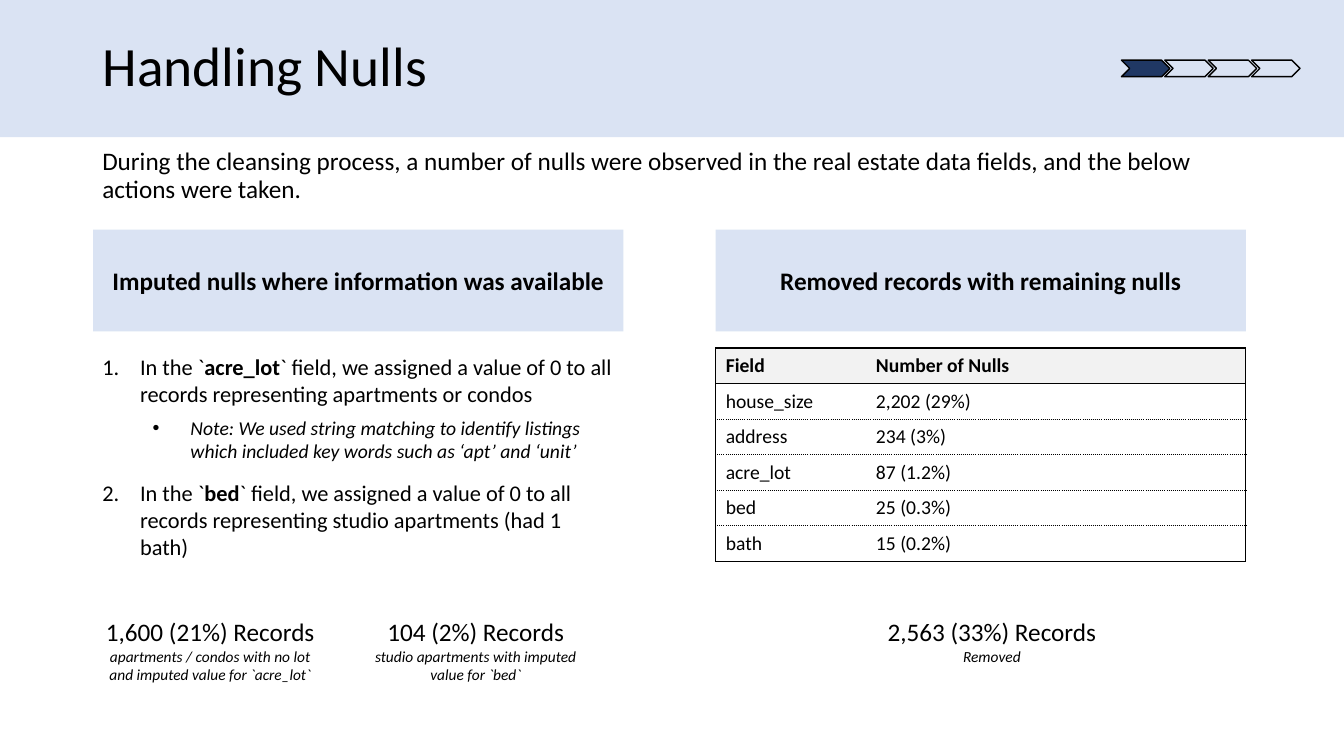
from dataclasses import dataclass

from lxml import etree
from pptx import Presentation
from pptx.dml.color import RGBColor
from pptx.enum import shapes, text
from pptx.oxml import ns
from pptx.util import Pt


@dataclass(frozen=True)
class Theme:
    font: str = "Calibri"
    ink: str = "000000"
    pale: str = "DAE3F3"
    navy: str = "203864"
    grey: str = "F2F2F2"
    title: float = 39.6
    lead: float = 18
    body: float = 16
    small: float = 14
    caption: float = 11
    line: float = 1


T = Theme()
MIDDLE = text.MSO_ANCHOR.MIDDLE
CENTER = text.PP_ALIGN.CENTER


def rgb(value):
    return RGBColor.from_string(value)


def add_run(p, wording, size, bold=False, italic=False):
    r = p.add_run()
    r.text = wording
    f = r.font
    f.name, f.size, f.bold, f.italic = T.font, Pt(size), bold, italic
    f.color.rgb = rgb(T.ink)


def add_shape(s, kind, box, fill, outline=None):
    sp = s.shapes.add_shape(kind, *map(Pt, box))
    sp.shadow.inherit = False
    sp.fill.solid()
    sp.fill.fore_color.rgb = rgb(fill)
    if outline:
        sp.line.color.rgb = rgb(outline)
        sp.line.width = Pt(T.line)
    else:
        sp.line.fill.background()
    return sp


def add_text(s, box):
    tf = s.shapes.add_textbox(*map(Pt, box)).text_frame
    tf.word_wrap = True
    return tf


def next_paragraph(tf, first):
    return tf.paragraphs[0] if first else tf.add_paragraph()


def title_band(s, box, title):
    x, y, w, h = box
    band = add_shape(s, shapes.MSO_SHAPE.RECTANGLE, box, T.pale)
    sp = s.shapes.title
    sp.element.addprevious(band.element)
    sp.left, sp.top, sp.width, sp.height = map(Pt, (x + 66, y + 23, w - 132, 52))
    tf = sp.text_frame
    tf.auto_size = text.MSO_AUTO_SIZE.NONE
    tf.vertical_anchor = MIDDLE
    p = tf.paragraphs[0]
    p.alignment, p.line_spacing = text.PP_ALIGN.LEFT, 0.9
    add_run(p, title, T.title)


def progress(s, box, steps, current):
    x, y, w, h = box
    pitch = 31
    width = w - pitch * (steps - 1)
    for i in range(steps):
        fill = T.navy if i == current else T.pale
        add_shape(s, shapes.MSO_SHAPE.CHEVRON,
                  (x + i * pitch, y, width, h), fill, T.ink)


def intro(s, box, wording):
    p = add_text(s, box).paragraphs[0]
    p.line_spacing = 0.9
    add_run(p, wording, T.lead)


def heading(s, box, wording):
    sp = add_shape(s, shapes.MSO_SHAPE.RECTANGLE, box, T.pale)
    tf = sp.text_frame
    tf.word_wrap, tf.vertical_anchor = True, MIDDLE
    p = tf.paragraphs[0]
    p.alignment = CENTER
    add_run(p, wording, T.lead, bold=True)


def set_list(p, level, margin, tag, **attrs):
    p.level = level
    pPr = p._p.get_or_add_pPr()
    pPr.set("marL", str(Pt(margin)))
    pPr.set("indent", str(-Pt(27)))
    if tag == "a:buChar":
        etree.SubElement(pPr, ns.qn("a:buFont"), typeface="Arial")
    etree.SubElement(pPr, ns.qn(tag), **attrs)


def actions(s, box, items):
    tf = add_text(s, box)
    for i, item in enumerate(items):
        p = next_paragraph(tf, i == 0)
        if isinstance(item, str):
            p.space_after = Pt(12)
            set_list(p, 1, 63, "a:buChar", char="•")
            add_run(p, item, T.small, italic=True)
        else:
            field, rest = item
            p.space_after = Pt(6)
            set_list(p, 0, 27, "a:buAutoNum", type="arabicPeriod")
            add_run(p, "In the `", T.body)
            add_run(p, field, T.body, bold=True)
            add_run(p, "` field, we assigned a value of 0 to all " + rest, T.body)


def set_border(cell, side, dash):
    ln = etree.SubElement(cell._tc.get_or_add_tcPr(), ns.qn("a:ln" + side),
                          w=str(Pt(T.line)))
    if dash is None:
        etree.SubElement(ln, ns.qn("a:noFill"))
        return
    fill = etree.SubElement(ln, ns.qn("a:solidFill"))
    etree.SubElement(fill, ns.qn("a:srgbClr"), val=T.ink)
    etree.SubElement(ln, ns.qn("a:prstDash"), val=dash)


def null_table(s, box, rows, first_width):
    x, y, w, h = box
    tbl = s.shapes.add_table(len(rows), 2, *map(Pt, box)).table
    tbl.horz_banding = False
    tbl.columns[0].width, tbl.columns[1].width = Pt(first_width), Pt(w - first_width)
    last = len(rows) - 1
    for i, row in enumerate(rows):
        tbl.rows[i].height = Pt(h / len(rows))
        for j, wording in enumerate(row):
            cell = tbl.cell(i, j)
            cell.vertical_anchor = MIDDLE
            set_border(cell, "L", "solid" if j == 0 else None)
            set_border(cell, "R", "solid" if j == 1 else None)
            set_border(cell, "T", "solid" if i < 2 else "sysDot")
            set_border(cell, "B", "solid" if i in (0, last) else "sysDot")
            if i == 0:
                cell.fill.solid()
                cell.fill.fore_color.rgb = rgb(T.grey)
            else:
                cell.fill.background()
            add_run(cell.text_frame.paragraphs[0], wording, T.small, bold=i == 0)


def record_count(s, box, count, caption):
    tf = add_text(s, box)
    for i, (wording, size) in enumerate(((count, T.lead), (caption, T.caption))):
        p = next_paragraph(tf, i == 0)
        p.alignment = CENTER
        add_run(p, wording, size, italic=i == 1)


prs = Presentation()
prs.slide_width, prs.slide_height = Pt(960), Pt(540)
s = prs.slides.add_slide(prs.slide_layouts[5])
LEFT, RIGHT, COLUMN = 66.6, 511.2, 378.7

title_band(s, (0, 0, 960, 98), "Handling Nulls")
progress(s, (801, 43, 127.6, 11.8), steps=4, current=0)
intro(s, (66, 103, 828, 52),
      "During the cleansing process, a number of nulls were observed in the real "
      "estate data fields, and the below actions were taken.")

heading(s, (LEFT, 164, COLUMN, 72.7), "Imputed nulls where information was available")
actions(s, (66, 249, COLUMN + 0.7, 156), [
    ("acre_lot", "records representing apartments or condos"),
    "Note: We used string matching to identify listings which included key words "
    "such as ‘apt’ and ‘unit’",
    ("bed", "records representing studio apartments (had 1 bath)"),
])

heading(s, (RIGHT, 164, COLUMN, 72.7), "Removed records with remaining nulls")
null_table(s, (RIGHT, 248.6, COLUMN, 152.4), [
    ("Field", "Number of Nulls"),
    ("house_size", "2,202 (29%)"),
    ("address", "234 (3%)"),
    ("acre_lot", "87 (1.2%)"),
    ("bed", "25 (0.3%)"),
    ("bath", "15 (0.2%)"),
], first_width=107.3)

for x, h, count, caption in (
    (66, 55.4, "1,600 (21%) Records",
     "apartments / condos with no lot and imputed value for `acre_lot`"),
    (255.6, 55.4, "104 (2%) Records", "studio apartments with imputed value for `bed`"),
    (624.3, 42.5, "2,563 (33%) Records", "Removed"),
):
    record_count(s, (x, 437, 168.5, h), count, caption)

prs.save("out.pptx")
